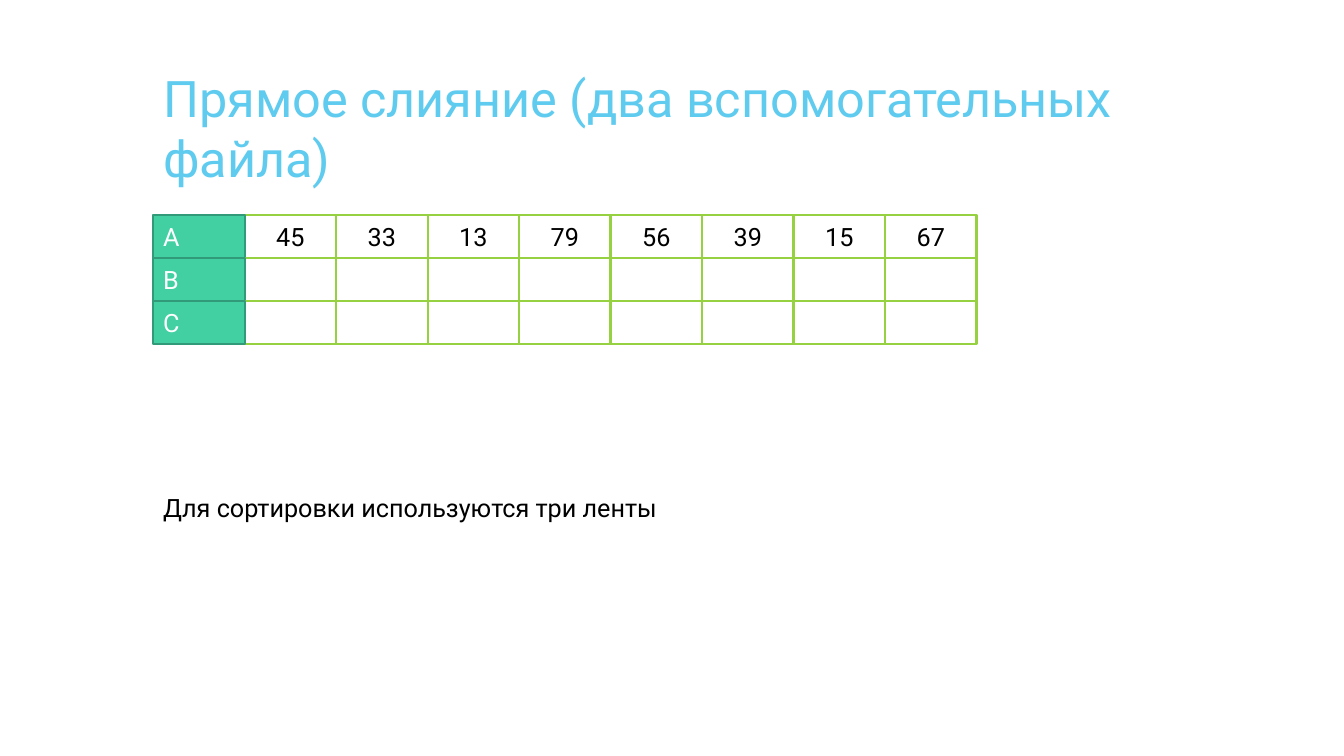
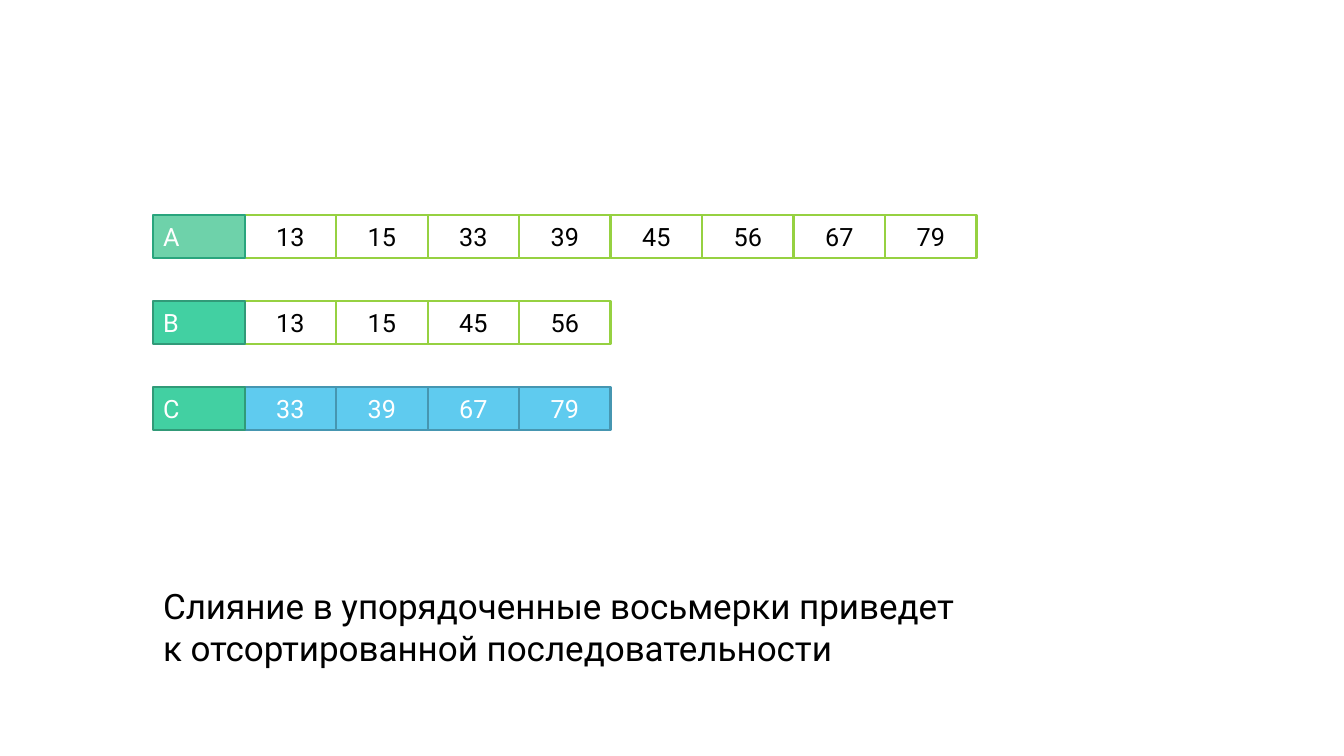
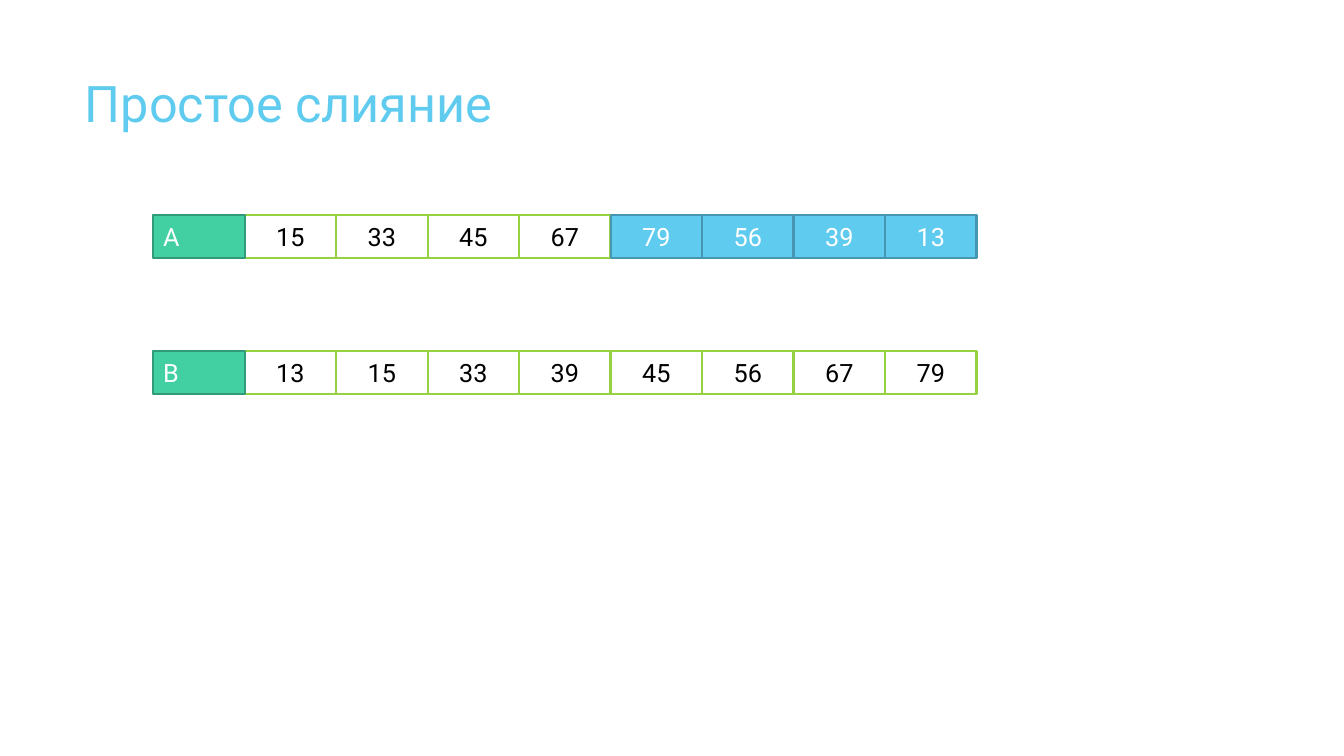
from typing import NamedTuple

from pptx import Presentation
from pptx.dml.color import RGBColor
from pptx.enum.shapes import MSO_SHAPE as Shape
from pptx.enum.text import MSO_ANCHOR as Anchor, MSO_AUTO_SIZE as AutoSize, PP_ALIGN as Align
from pptx.util import Pt

FONT = "Roboto"
BLACK = RGBColor(0x00, 0x00, 0x00)
WHITE = RGBColor(0xFF, 0xFF, 0xFF)
SKY = RGBColor(0x5F, 0xCB, 0xEF)
DARK_SKY = RGBColor(0x46, 0x96, 0xB1)
LIME = RGBColor(0x96, 0xD1, 0x41)
GREEN = RGBColor(0x42, 0xD0, 0xA2)
DARK_GREEN = RGBColor(0x31, 0x9A, 0x78)
PALE_GREEN = RGBColor(0x6E, 0xD2, 0xAA)
DEEP_GREEN = RGBColor(0x29, 0xA5, 0x7D)


class CellStyle(NamedTuple):
    fill: RGBColor
    line: RGBColor
    text: RGBColor
    align: Align = Align.CENTER


PLAIN = CellStyle(WHITE, LIME, BLACK)
MARKED = CellStyle(SKY, DARK_SKY, WHITE)
LABEL = CellStyle(GREEN, DARK_GREEN, WHITE, Align.LEFT)
PALE_LABEL = CellStyle(PALE_GREEN, DEEP_GREEN, WHITE, Align.LEFT)

TITLE_ONLY, BLANK = 5, 6
TAPE_LEFT, TAPE_TOP = 109.4, 153.8
CELL_WIDTH, CELL_HEIGHT = 65.35, 30.7
EMPTY_TAPE = [""] * 8
SORTED_TAPE = [13, 15, 33, 39, 45, 56, 67, 79]


def place(shape, left, top, width, height):
    shape.left, shape.top = Pt(left), Pt(top)
    shape.width, shape.height = Pt(width), Pt(height)


def write(para, text, size, color, align=Align.LEFT):
    para.alignment = align
    span = para.add_run()
    span.text = text
    span.font.name = FONT
    span.font.size = Pt(size)
    span.font.color.rgb = color


def add_title(page, text, left, top, width, height):
    title = page.shapes.title
    place(title, left, top, width, height)
    frame = title.text_frame
    frame.word_wrap = True
    frame.auto_size = AutoSize.NONE
    frame.vertical_anchor = Anchor.TOP
    write(frame.paragraphs[0], text, 36, SKY)


def add_caption(page, lines, size, left, top, width, height, wrap=True):
    box = page.shapes.add_textbox(Pt(left), Pt(top), Pt(width), Pt(height))
    frame = box.text_frame
    frame.word_wrap = wrap
    frame.auto_size = AutoSize.SHAPE_TO_FIT_TEXT
    for index, line in enumerate(lines):
        para = frame.add_paragraph() if index else frame.paragraphs[0]
        write(para, line, size, BLACK)


def add_cell(page, text, style, left, top):
    cell = page.shapes.add_shape(
        Shape.RECTANGLE, Pt(left), Pt(top), Pt(CELL_WIDTH), Pt(CELL_HEIGHT))
    cell.shadow.inherit = False
    cell.fill.solid()
    cell.fill.fore_color.rgb = style.fill
    cell.line.color.rgb = style.line
    cell.line.width = Pt(1.5)
    if text:
        cell.text_frame.vertical_anchor = Anchor.MIDDLE
        write(cell.text_frame.paragraphs[0], text, 18, style.text, style.align)


def add_tape(page, name, values, row=0, marked_from=8, label_style=LABEL):
    """Draw a row of value cells, marked from the given position on, and its label."""
    top = TAPE_TOP + row * CELL_HEIGHT
    for index, value in enumerate(values):
        style = MARKED if index >= marked_from else PLAIN
        add_cell(page, str(value), style, TAPE_LEFT + (index + 1) * CELL_WIDTH, top)
    add_cell(page, name, label_style, TAPE_LEFT, top)


def add_three_tapes_page(deck):
    page = deck.slides.add_slide(deck.slide_layouts[TITLE_ONLY])
    add_title(page, "Прямое слияние (два вспомогательных файла)", TAPE_LEFT, 44, 815, 70)
    add_tape(page, "A", [45, 33, 13, 79, 56, 39, 15, 67])
    add_tape(page, "B", EMPTY_TAPE, row=1)
    add_tape(page, "C", EMPTY_TAPE, row=2)
    add_caption(page, ["Для сортировки используются три ленты"], 18,
                TAPE_LEFT, 347.8, 377.3, 29)


def add_final_merge_page(deck):
    page = deck.slides.add_slide(deck.slide_layouts[BLANK])
    add_tape(page, "A", SORTED_TAPE, label_style=PALE_LABEL)
    add_tape(page, "B", [13, 15, 45, 56], row=2)
    add_tape(page, "C", [33, 39, 67, 79], row=4, marked_from=0)
    add_caption(page, ["Слияние в упорядоченные восьмерки приведет",
                       "к отсортированной последовательности"], 25,
                TAPE_LEFT, 414, 579, 67.7, wrap=False)


def add_simple_merge_page(deck):
    page = deck.slides.add_slide(deck.slide_layouts[TITLE_ONLY])
    add_title(page, "Простое слияние", 53.5, 48.2, 677, 62)
    add_tape(page, "A", [15, 33, 45, 67, 79, 56, 39, 13], marked_from=4)
    add_tape(page, "B", SORTED_TAPE, row=3.15)


def main():
    deck = Presentation()
    deck.slide_width, deck.slide_height = Pt(960), Pt(540)
    add_three_tapes_page(deck)
    add_final_merge_page(deck)
    add_simple_merge_page(deck)
    deck.save("out.pptx")


if __name__ == "__main__":
    main()
